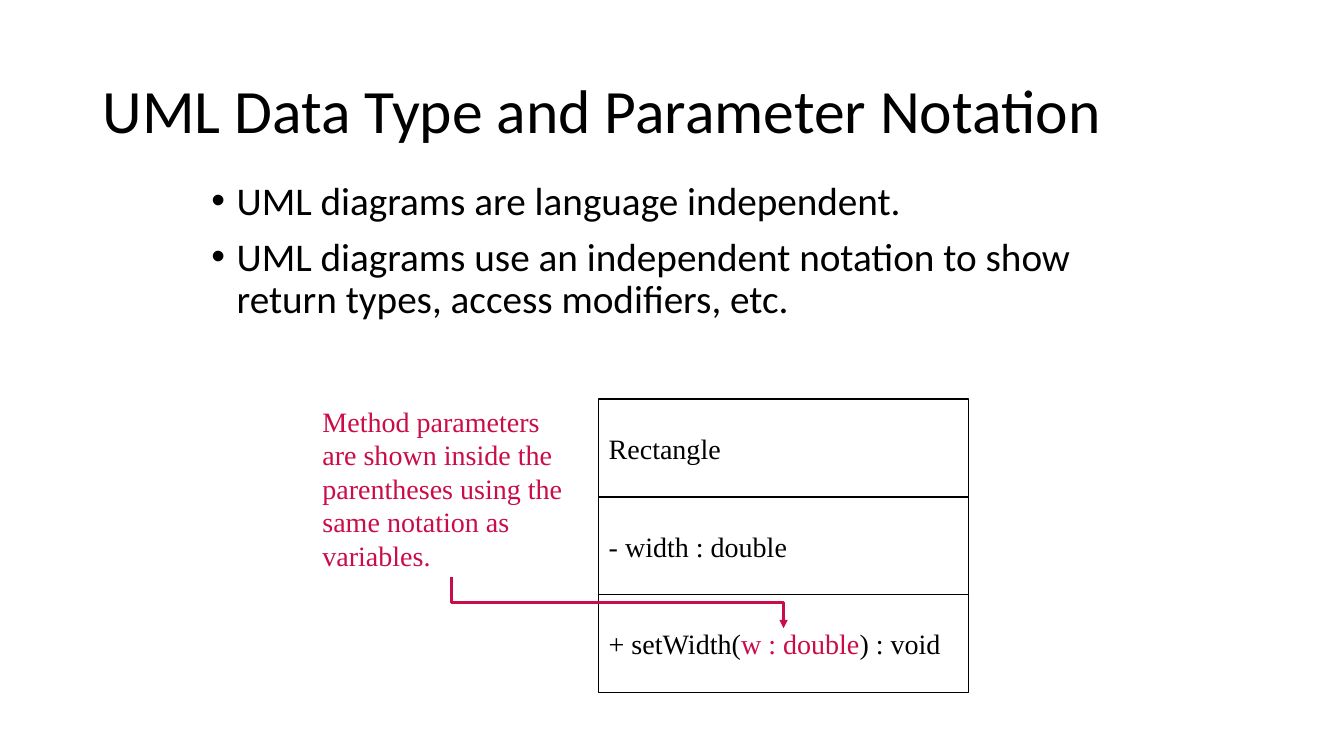
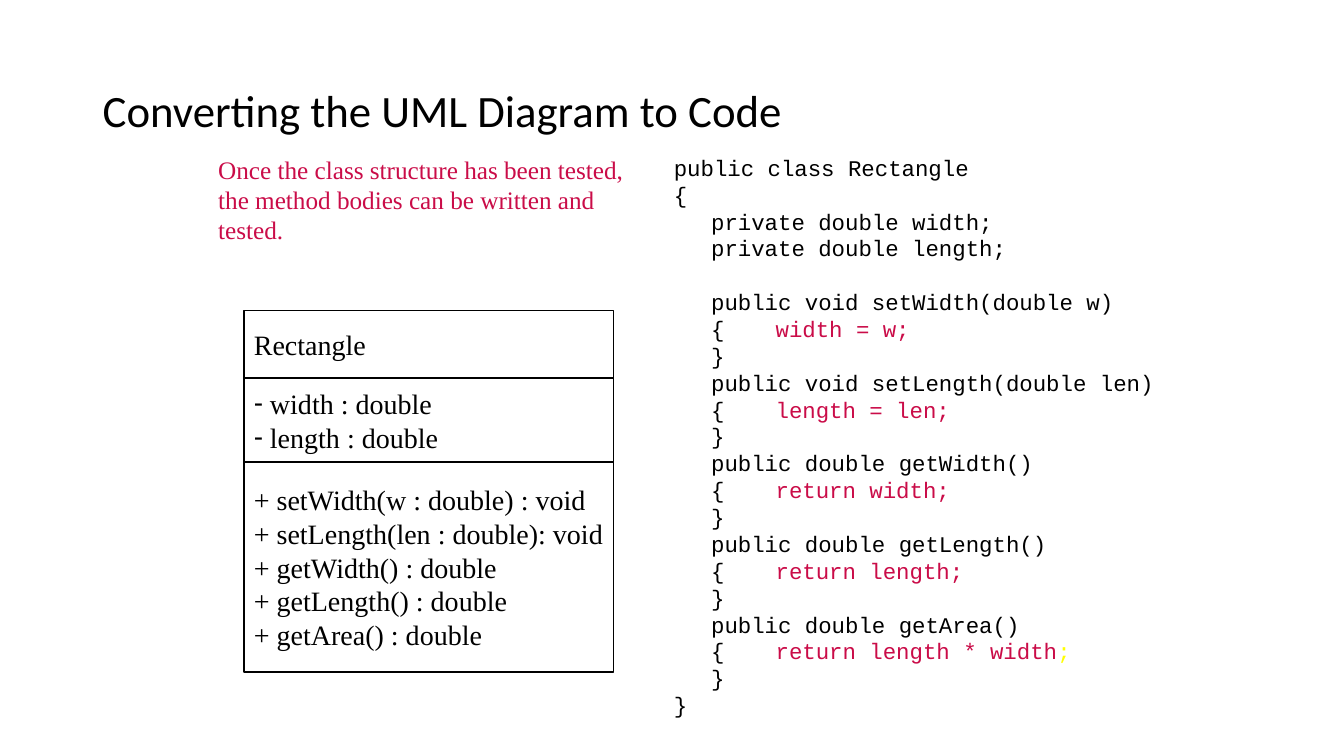
from lxml import etree
from pptx import Presentation
from pptx.dml.color import RGBColor
from pptx.enum.shapes import MSO_CONNECTOR, MSO_SHAPE
from pptx.enum.text import MSO_ANCHOR, PP_ALIGN
from pptx.oxml.ns import qn
from pptx.util import Inches, Pt

ELBOW, RECTANGLE = MSO_CONNECTOR.ELBOW, MSO_SHAPE.RECTANGLE
MIDDLE, TOP, LEFT = MSO_ANCHOR.MIDDLE, MSO_ANCHOR.TOP, PP_ALIGN.LEFT
BLACK, WHITE, ACCENT, YELLOW = "000000", "FFFFFF", "CA0C48", "FFFF00"
SANS, SERIF, MONO = "Calibri", "Times New Roman", "Courier New"
TITLE_BOX = (6.9, 5.33, 86.25, 19.33)
CLASS_WIDTH = 27.5
TAB_STOPS = (0.37, 1.01)

prs = Presentation()
prs.slide_width, prs.slide_height = Inches(13.33), Inches(7.5)
X, Y = prs.slide_width / 100, prs.slide_height / 100
blank = prs.slide_layouts[6]


def rgb(value):
    return RGBColor.from_string(value)


def add_text(s, box, lines, font, size, color=BLACK, anchor=TOP,
             spacing=None, bullet=None, indent=0, outlined=False):
    """Add text in a box given in percent of the slide.

    A line is a string or a list of (text, colour) runs.
    """
    x, y, w, h = box
    place = int(x * X), int(y * Y), int(w * X), int(h * Y)
    if outlined:
        sp = s.shapes.add_shape(RECTANGLE, *place)
        sp.shadow.inherit = False
        sp.fill.solid()
        sp.fill.fore_color.rgb = rgb(WHITE)
        sp.line.color.rgb = rgb(BLACK)
        sp.line.width = Pt(1)
    else:
        sp = s.shapes.add_textbox(*place)
    tf = sp.text_frame
    tf.word_wrap = True
    tf.vertical_anchor = anchor
    if outlined:
        tf.margin_right = 0
    for i, line in enumerate(lines):
        p = tf.paragraphs[0] if i == 0 else tf.add_paragraph()
        p.alignment = LEFT
        p.line_spacing = spacing or Pt(size * 1.2)
        for text, run_color in [(line, color)] if isinstance(line, str) else line:
            r = p.add_run()
            r.text = text
            r.font.name, r.font.size = font, Pt(size)
            r.font.color.rgb = rgb(run_color)
        if bullet:
            pPr = p._p.get_or_add_pPr()
            pPr.set("marL", str(Inches(indent)))
            pPr.set("indent", str(-Inches(indent)))
            etree.SubElement(pPr, qn("a:buFont"), typeface="Arial")
            etree.SubElement(pPr, qn("a:buChar"), char=bullet)
    return tf


# Notation
s = prs.slides.add_slide(blank)
add_text(s, TITLE_BOX, ["UML Data Type and Parameter Notation"], SANS, 44,
         anchor=MIDDLE, spacing=0.9)
tf = add_text(s, (15, 23.33, 68, 25.87), [
    "UML diagrams are language independent.",
    "UML diagrams use an independent notation to show return types, access modifiers, etc.",
], SANS, 28, spacing=0.9, bullet="•", indent=0.25)
for p in tf.paragraphs:
    p.space_before = Pt(10)

top, row = 52.8, 12.93
members = [
    "Rectangle",
    "- width : double",
    [("+ setWidth(", BLACK), ("w : double", ACCENT), (") : void", BLACK)],
]
for i, member in enumerate(members):
    add_text(s, (44.55, top + i * row, CLASS_WIDTH, row), [member], SERIF, 20,
             anchor=MIDDLE, outlined=True)
add_text(s, (23.25, top, 20.63, 23.6),
         ["Method parameters are shown inside the parentheses using the same notation as variables."],
         SERIF, 20, ACCENT)

# The elbow is laid out on its side, then turned so that it leaves downwards
x1, y1, x2, y2 = 33.6 * X, 76.3 * Y, 58.3 * X, 83.1 * Y
mid_x, mid_y = (x1 + x2) / 2, (y1 + y2) / 2
half_run, half_drop = (x2 - x1) / 2, (y2 - y1) / 2
arrow = s.shapes.add_connector(ELBOW, int(mid_x + half_drop), int(mid_y - half_run),
                               int(mid_x - half_drop), int(mid_y + half_run))
arrow.line.color.rgb = rgb(ACCENT)
arrow.line.width = Pt(2)
spPr = arrow._element.spPr
spPr.find(qn("a:xfrm")).set("rot", str(270 * 60000))
etree.SubElement(spPr.find(qn("a:ln")), qn("a:tailEnd"), type="triangle")
etree.SubElement(spPr, qn("a:effectLst"))

# Code
s = prs.slides.add_slide(blank)
add_text(s, TITLE_BOX, ["Converting the UML Diagram to Code"], SANS, 32,
         anchor=MIDDLE, spacing=0.9)

compartments = [
    (8.9, None, ["Rectangle"]),
    (11.1, "-", ["width : double", "length : double"]),
    (27.8, None, [
        "+ setWidth(w : double) : void",
        "+ setLength(len : double): void",
        "+ getWidth() : double",
        "+ getLength() : double",
        "+ getArea() : double",
    ]),
]
top = 41.1
for height, bullet, lines in compartments:
    add_text(s, (18.15, top, CLASS_WIDTH, height), lines, SERIF, 20,
             anchor=MIDDLE, bullet=bullet, indent=0.16, outlined=True)
    top += height

add_text(s, (15.5, 19.7, 32.7, 13.5),
         ["Once the class structure has been tested, the method bodies can be written and tested."],
         SERIF, 18, ACCENT)

methods = [
    ("void setWidth(double w)", [("width = w;", ACCENT)]),
    ("void setLength(double len)", [("length = len;", ACCENT)]),
    ("double getWidth()", [("return width;", ACCENT)]),
    ("double getLength()", [("return length;", ACCENT)]),
    ("double getArea()", [("return length * width", ACCENT), (";", YELLOW)]),
]
code = ["public class Rectangle", "{", "\tprivate double width;", "\tprivate double length;"]
first_method = len(code)
for signature, body in methods:
    code += [f"\tpublic {signature}", [("\t{\t", BLACK)] + body, "\t}"]
code.append("}")

tf = add_text(s, (49.4, 19.7, 39.4, 79.7), code, MONO, 16)
tf.paragraphs[first_method].space_before = Pt(19.2)
for p in tf.paragraphs:
    tabs = etree.SubElement(p._p.get_or_add_pPr(), qn("a:tabLst"))
    for stop in TAB_STOPS:
        etree.SubElement(tabs, qn("a:tab"), pos=str(Inches(stop)), algn="l")

prs.save("out.pptx")
